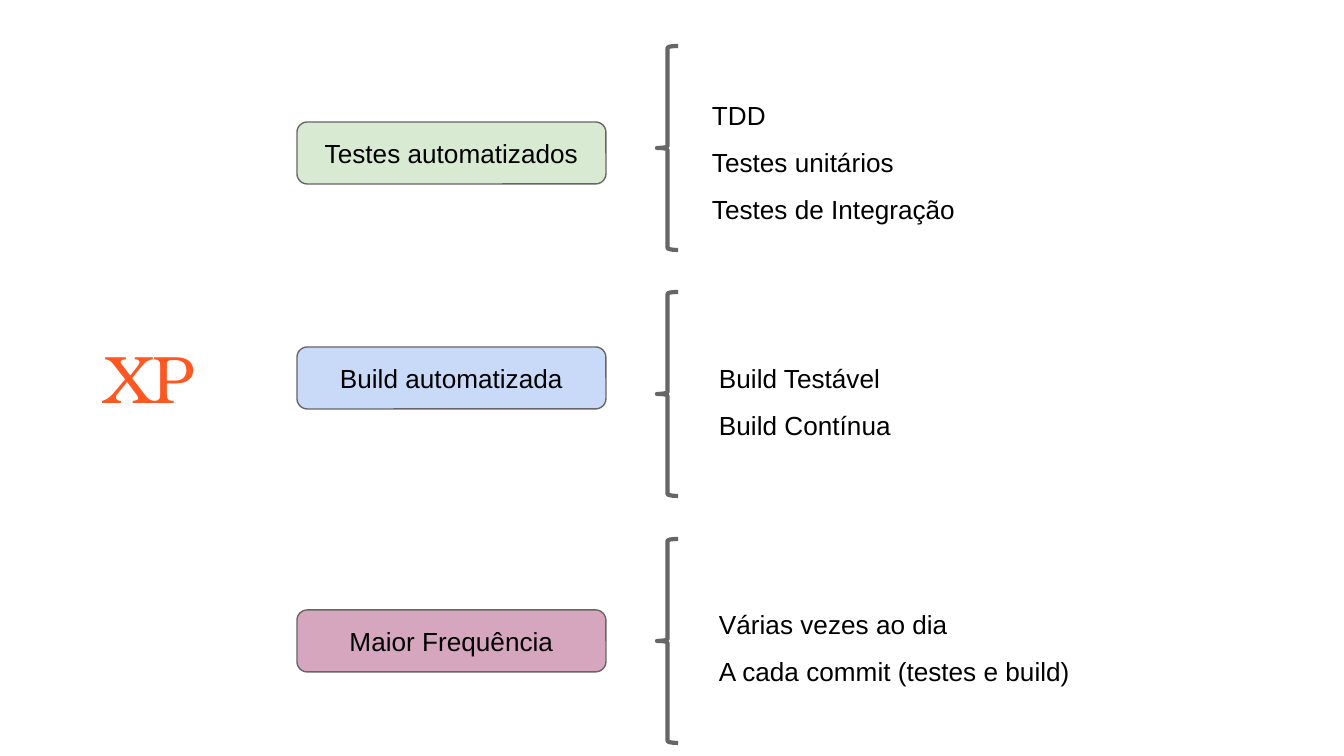
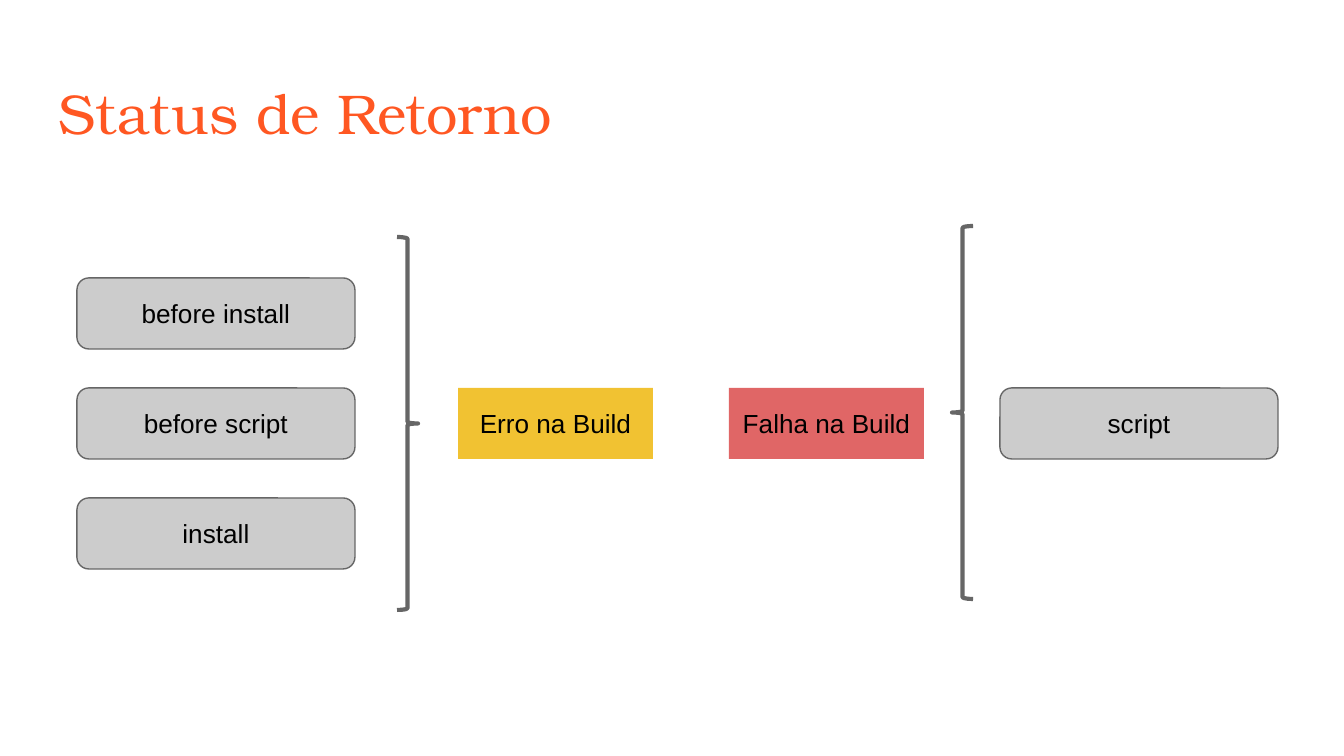
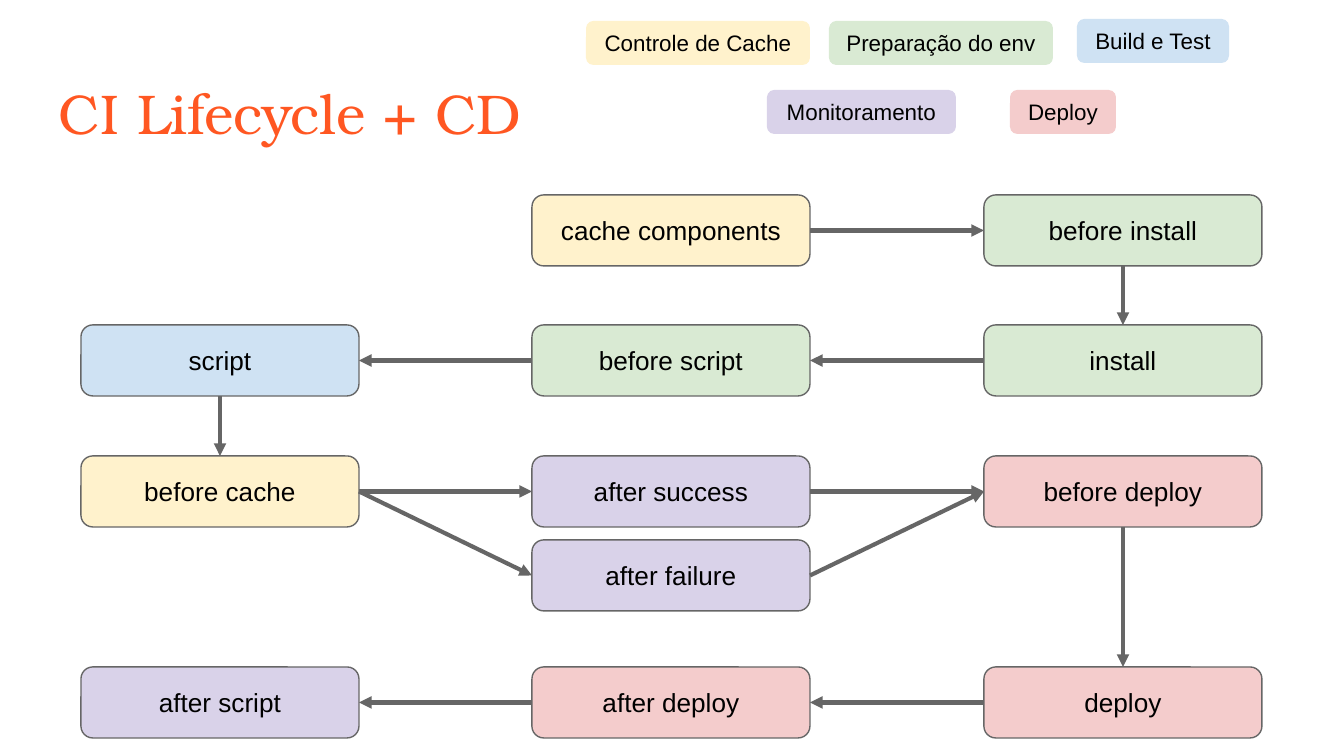
from lxml import etree
from pptx import Presentation
from pptx.dml.color import RGBColor
from pptx.enum.shapes import MSO_CONNECTOR, MSO_SHAPE
from pptx.enum.text import MSO_ANCHOR, PP_ALIGN
from pptx.oxml.ns import qn
from pptx.util import Emu, Pt

EMU_PER_PX = 914400 / 134.4
SLIDE_SIZE = (1344, 756)
INSET = 13

ROUNDED, RECTANGLE = MSO_SHAPE.ROUNDED_RECTANGLE, MSO_SHAPE.RECTANGLE
LEFT_BRACE, RIGHT_BRACE = MSO_SHAPE.LEFT_BRACE, MSO_SHAPE.RIGHT_BRACE
STRAIGHT = MSO_CONNECTOR.STRAIGHT
TOP, MIDDLE = MSO_ANCHOR.TOP, MSO_ANCHOR.MIDDLE
ALIGN_LEFT, ALIGN_CENTER = PP_ALIGN.LEFT, PP_ALIGN.CENTER
SIDE_TOP, SIDE_LEFT, SIDE_BOTTOM, SIDE_RIGHT = range(4)

BODY_FONT, TITLE_FONT = "Arial", "TeX Gyre Bonum"
ORANGE, BLACK, LINE_GRAY = "FF5722", "000000", "666666"
GREEN, PERIWINKLE, MAUVE = "D9EAD3", "C9DAF8", "D5A6BD"
STAGE_GRAY, ERROR_YELLOW, FAILURE_RED = "CCCCCC", "F1C232", "E06666"
CACHE, PREPARE, BUILD = "FFF2CC", GREEN, "CFE2F3"
MONITOR, DEPLOY = "D9D2E9", "F4CCCC"

STAGE_SIZE = (278, 71)
BRACE_WIDTH = 21


def px(*lengths):
    return [Emu(round(length * EMU_PER_PX)) for length in lengths]


def rgb(value):
    return RGBColor.from_string(value)


def apply(target, values):
    for name, value in values.items():
        setattr(target, name, value)


def write(shape, lines, size=14, font=BODY_FONT, color=BLACK,
          align=ALIGN_CENTER, anchor=MIDDLE, spacing=1.0):
    frame = shape.text_frame
    inset = px(INSET)[0]
    apply(frame, {"word_wrap": True, "vertical_anchor": anchor,
                  "margin_left": inset, "margin_right": inset,
                  "margin_top": inset, "margin_bottom": inset})
    for index, line in enumerate(lines):
        paragraph = frame.add_paragraph() if index else frame.paragraphs[0]
        apply(paragraph, {"alignment": align, "line_spacing": spacing})
        run = paragraph.add_run()
        run.text = line
        apply(run.font, {"size": Pt(size), "name": font})
        run.font.color.rgb = rgb(color)


def add_text(slide, bounds, lines, **text_format):
    write(slide.shapes.add_textbox(*px(*bounds)), lines, **text_format)


def add_title(slide, title):
    add_text(slide, (46, 66, 1253, 85), [title], size=30, font=TITLE_FONT,
             color=ORANGE, align=ALIGN_LEFT, anchor=TOP)


def draw_line(line, width):
    line.color.rgb = rgb(LINE_GRAY)
    line.width = Pt(width)


def add_box(slide, bounds, label, fill, kind=ROUNDED, outlined=True, size=14):
    box = slide.shapes.add_shape(kind, *px(*bounds))
    box.shadow.inherit = False
    box.fill.solid()
    box.fill.fore_color.rgb = rgb(fill)
    if outlined:
        draw_line(box.line, 0.75)
    else:
        box.line.fill.background()
    write(box, [label], size=size)
    return box


def add_brace(slide, kind, left, top, height, rotation=0):
    brace = slide.shapes.add_shape(kind, *px(left, top, BRACE_WIDTH, height))
    brace.shadow.inherit = False
    brace.fill.background()
    brace.rotation = rotation
    draw_line(brace.line, 2.25)


def add_arrow(slide, source, source_side, target, target_side):
    arrow = slide.shapes.add_connector(STRAIGHT, 0, 0, 0, 0)
    arrow.begin_connect(source, source_side)
    arrow.end_connect(target, target_side)
    draw_line(arrow.line, 2.25)
    etree.SubElement(arrow.line._get_or_add_ln(), qn("a:tailEnd"), type="triangle")
    etree.SubElement(arrow._element.spPr, qn("a:effectLst"))


def build_practices(slide):
    add_text(slide, (42, 323, 215, 110), ["XP"], size=36, font=TITLE_FONT,
             color=ORANGE, anchor=TOP)
    practices = [
        ("Testes automatizados", GREEN, 122, 46, (699, 62, 316, 184),
         ["TDD", "Testes unitários", "Testes de Integração"]),
        ("Build automatizada", PERIWINKLE, 347, 292, (706, 302, 316, 184),
         ["Build Testável", "Build Contínua"]),
        ("Maior Frequência", MAUVE, 610, 539, (706, 548, 387, 184),
         ["Várias vezes ao dia", "A cada commit (testes e build)"]),
    ]
    for practice, fill, top, brace_top, detail_bounds, details in practices:
        add_box(slide, (297, top, 309, 62), practice, fill)
        add_brace(slide, LEFT_BRACE, 657, brace_top, 204)
        add_text(slide, detail_bounds, details, align=ALIGN_LEFT, spacing=1.5)


def build_return_status(slide):
    add_title(slide, "Status de Retorno")
    for row, stage in enumerate(["before install", "before script", "install"]):
        add_box(slide, (77, 278 + 110 * row, *STAGE_SIZE), stage, STAGE_GRAY)
    add_box(slide, (1000, 388, *STAGE_SIZE), "script", STAGE_GRAY)
    add_brace(slide, RIGHT_BRACE, 397, 237, 373)
    add_brace(slide, RIGHT_BRACE, 952, 226, 373, rotation=180)
    for left, status, fill in [(458, "Erro na Build", ERROR_YELLOW),
                               (729, "Falha na Build", FAILURE_RED)]:
        add_box(slide, (left, 388, 195, 71), status, fill,
                kind=RECTANGLE, outlined=False)


def build_lifecycle(slide):
    add_title(slide, "CI Lifecycle + CD")
    columns = (81, 532, 984)
    rows = (195, 325, 456, 540, 667)
    stages = [
        ("cache components", 1, 0, CACHE),
        ("before install", 2, 0, PREPARE),
        ("install", 2, 1, PREPARE),
        ("before script", 1, 1, PREPARE),
        ("script", 0, 1, BUILD),
        ("before cache", 0, 2, CACHE),
        ("after success", 1, 2, MONITOR),
        ("after failure", 1, 3, MONITOR),
        ("before deploy", 2, 2, DEPLOY),
        ("after deploy", 1, 4, DEPLOY),
        ("after script", 0, 4, MONITOR),
        ("deploy", 2, 4, DEPLOY),
    ]
    boxes = {stage: add_box(slide, (columns[column], rows[row], *STAGE_SIZE), stage, fill)
             for stage, column, row, fill in stages}

    rightward = (SIDE_RIGHT, SIDE_LEFT)
    leftward = (SIDE_LEFT, SIDE_RIGHT)
    downward = (SIDE_BOTTOM, SIDE_TOP)
    flow = [
        ("cache components", "before install", rightward),
        ("before install", "install", downward),
        ("install", "before script", leftward),
        ("before script", "script", leftward),
        ("script", "before cache", downward),
        ("before cache", "after success", rightward),
        ("before cache", "after failure", rightward),
        ("after failure", "before deploy", rightward),
        ("after success", "before deploy", rightward),
        ("before deploy", "deploy", downward),
        ("deploy", "after deploy", leftward),
        ("after deploy", "after script", leftward),
    ]
    for source, target, (source_side, target_side) in flow:
        add_arrow(slide, boxes[source], source_side, boxes[target], target_side)

    legend = [
        ("Controle de Cache", CACHE, 586, 21, 224),
        ("Preparação do env", PREPARE, 829, 21, 224),
        ("Build e Test", BUILD, 1077, 19, 152),
        ("Monitoramento", MONITOR, 767, 90, 189),
        ("Deploy", DEPLOY, 1010, 90, 106),
    ]
    for phase, fill, left, top, width in legend:
        add_box(slide, (left, top, width, 44), phase, fill, outlined=False, size=12)


def main():
    deck = Presentation()
    deck.slide_width, deck.slide_height = px(*SLIDE_SIZE)
    blank = deck.slide_layouts[6]
    for build in (build_practices, build_return_status, build_lifecycle):
        build(deck.slides.add_slide(blank))
    deck.save("out.pptx")


if __name__ == "__main__":
    main()
